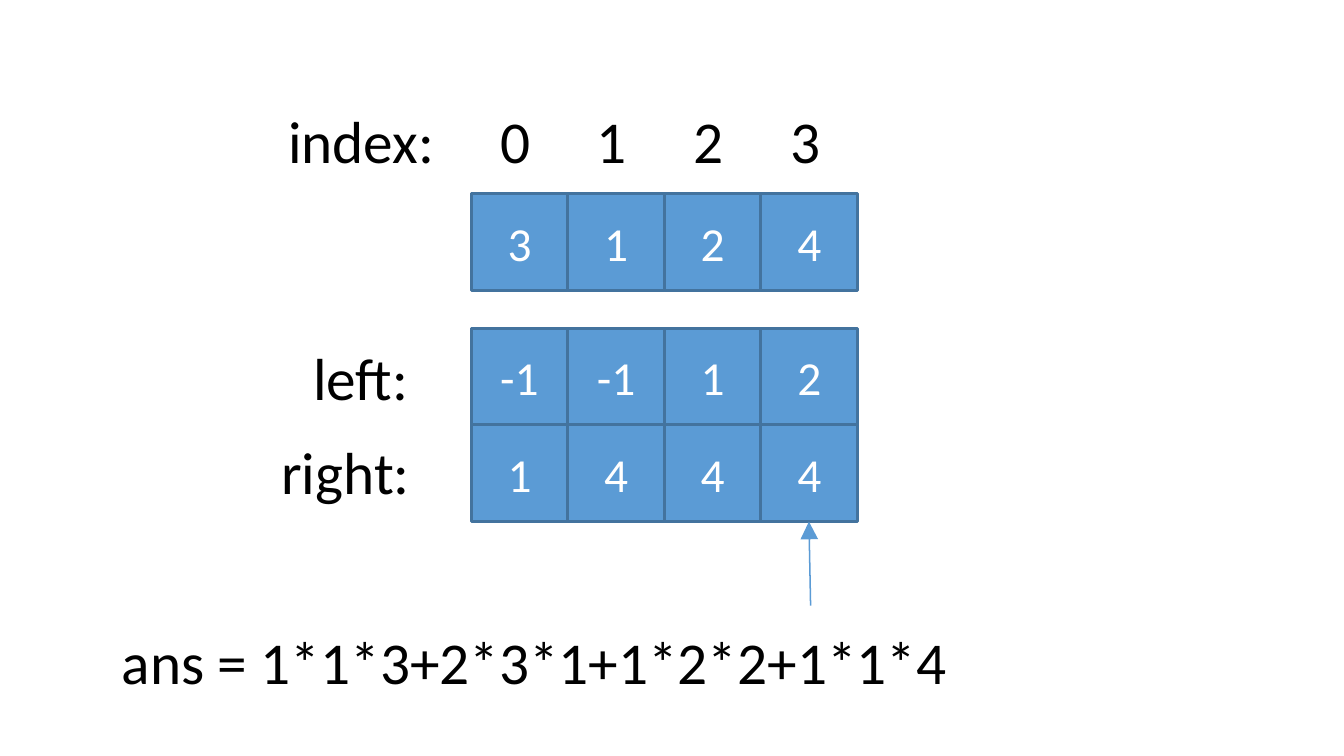
"""Build the slide with the index, left and right arrays and the answer."""
from lxml import etree
from pptx import Presentation
from pptx.dml.color import RGBColor
from pptx.enum.shapes import MSO_CONNECTOR, MSO_SHAPE
from pptx.enum.text import MSO_ANCHOR, PP_ALIGN
from pptx.oxml.ns import qn
from pptx.util import Cm, Pt

BLUE = RGBColor(0x5B, 0x9B, 0xD5)
EDGE = RGBColor(0x43, 0x73, 0x9E)
WHITE = RGBColor(0xFF, 0xFF, 0xFF)
BLACK = RGBColor(0, 0, 0)
RECT = MSO_SHAPE.RECTANGLE
STRAIGHT = MSO_CONNECTOR.STRAIGHT
CENTER = PP_ALIGN.CENTER
MIDDLE = MSO_ANCHOR.MIDDLE

CELL = 1.15
GRID_LEFT = 5.61
LABEL_HEIGHT = 1.11
INSET = 0.25
INDEX_LEFT = 3.18


class Slide:
    def __init__(self, prs, font="Calibri"):
        self.s = prs.slides.add_slide(prs.slide_layouts[6])
        self.font = font

    def set_text(self, shape, text, size, color):
        tf = shape.text_frame
        tf.text = text
        p = tf.paragraphs[0]
        for r in p.runs:
            r.font.name = self.font
            r.font.size = Pt(size)
            r.font.color.rgb = color
        return p

    def label(self, text, left, top, width):
        sp = self.s.shapes.add_textbox(Cm(left), Cm(top), Cm(width), Cm(LABEL_HEIGHT))
        sp.text_frame.word_wrap = True
        return self.set_text(sp, text, 20, BLACK)

    def tabbed_label(self, text, left, top, width, stops):
        p = self.label(text, left, top, width)
        tabs = etree.SubElement(p._p.get_or_add_pPr(), qn("a:tabLst"))
        for stop in stops:
            etree.SubElement(tabs, qn("a:tab"), pos=str(int(Cm(stop))), algn="ctr")

    def cell(self, text, left, top):
        sp = self.s.shapes.add_shape(RECT, Cm(left), Cm(top), Cm(CELL), Cm(CELL))
        sp.shadow.inherit = False
        sp.fill.solid()
        sp.fill.fore_color.rgb = BLUE
        sp.line.color.rgb = EDGE
        sp.line.width = Pt(1)
        sp.text_frame.vertical_anchor = MIDDLE
        self.set_text(sp, text, 16, WHITE).alignment = CENTER

    def row(self, values, top):
        for i, value in enumerate(values):
            self.cell(str(value), GRID_LEFT + i * CELL, top)

    def arrow(self, x1, y1, x2, y2):
        c = self.s.shapes.add_connector(STRAIGHT, Cm(x1), Cm(y1), Cm(x2), Cm(y2))
        c.line.color.rgb = BLUE
        c.line.width = Pt(0.5)
        etree.SubElement(c.line._get_or_add_ln(), qn("a:tailEnd"), type="triangle")
        etree.SubElement(c._element.spPr, qn("a:effectLst"))


prs = Presentation()
prs.slide_width, prs.slide_height = Cm(16), Cm(9)
s = Slide(prs)

rows = {2.31: (3, 1, 2, 4), 3.91: (-1, -1, 1, 2), 3.91 + CELL: (1, 4, 4, 4)}
for top, values in rows.items():
    s.row(values, top)

first_stop = GRID_LEFT + CELL / 2 - INDEX_LEFT - INSET - 0.05
s.tabbed_label("index:\t0\t1\t2\t3", INDEX_LEFT, 1.12, 7.16,
               [first_stop + i * CELL for i in range(4)])
s.label("left:", 3.48, 3.94, 2)
s.label("right:", 3.1, 5.06, 2.4)
s.label("ans = 1*1*3+2*3*1+1*2*2+1*1*4", 1.2, 7.32, 12.6)
s.arrow(9.65, 7.21, 9.63, 6.21)

prs.save("out.pptx")
